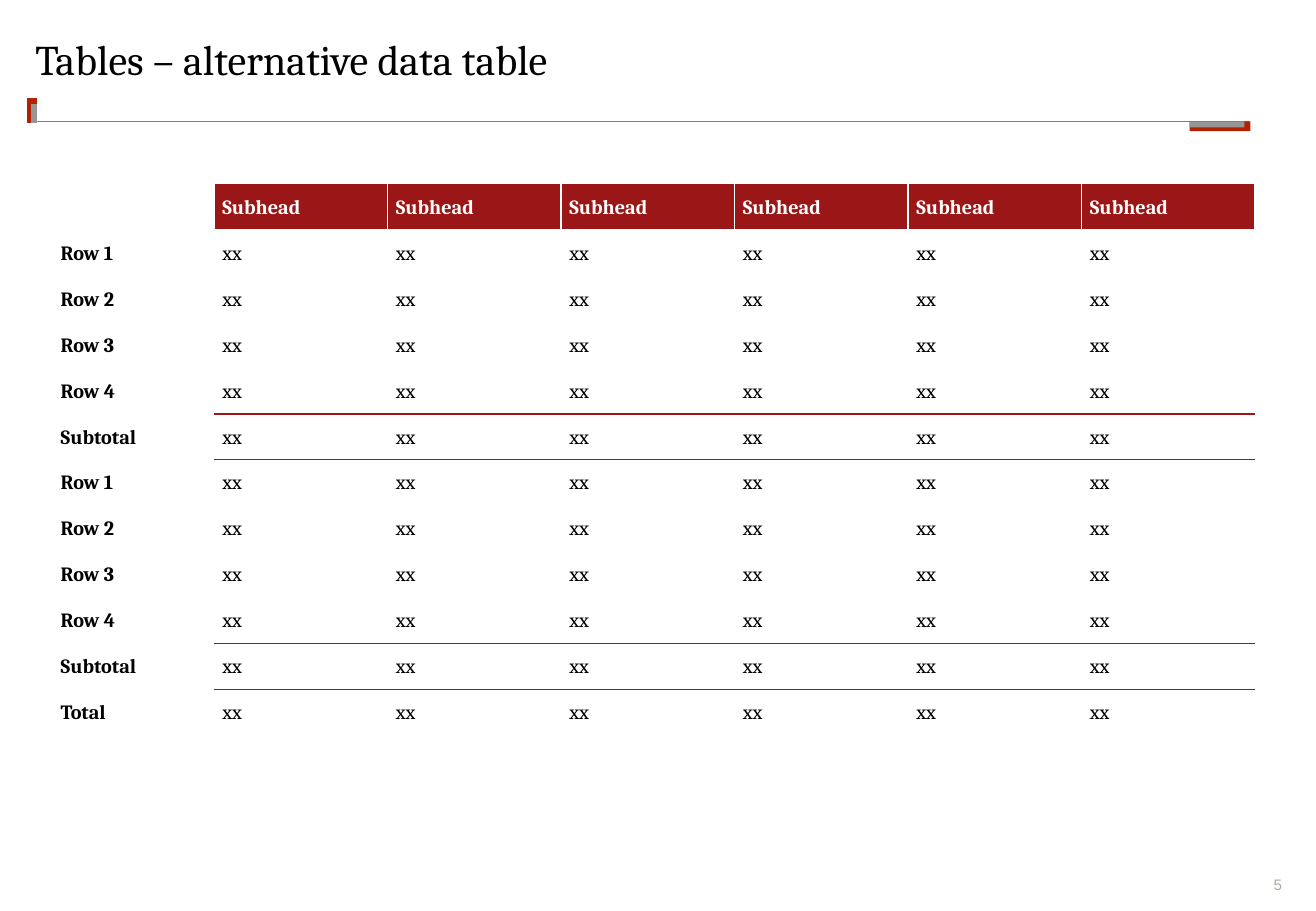
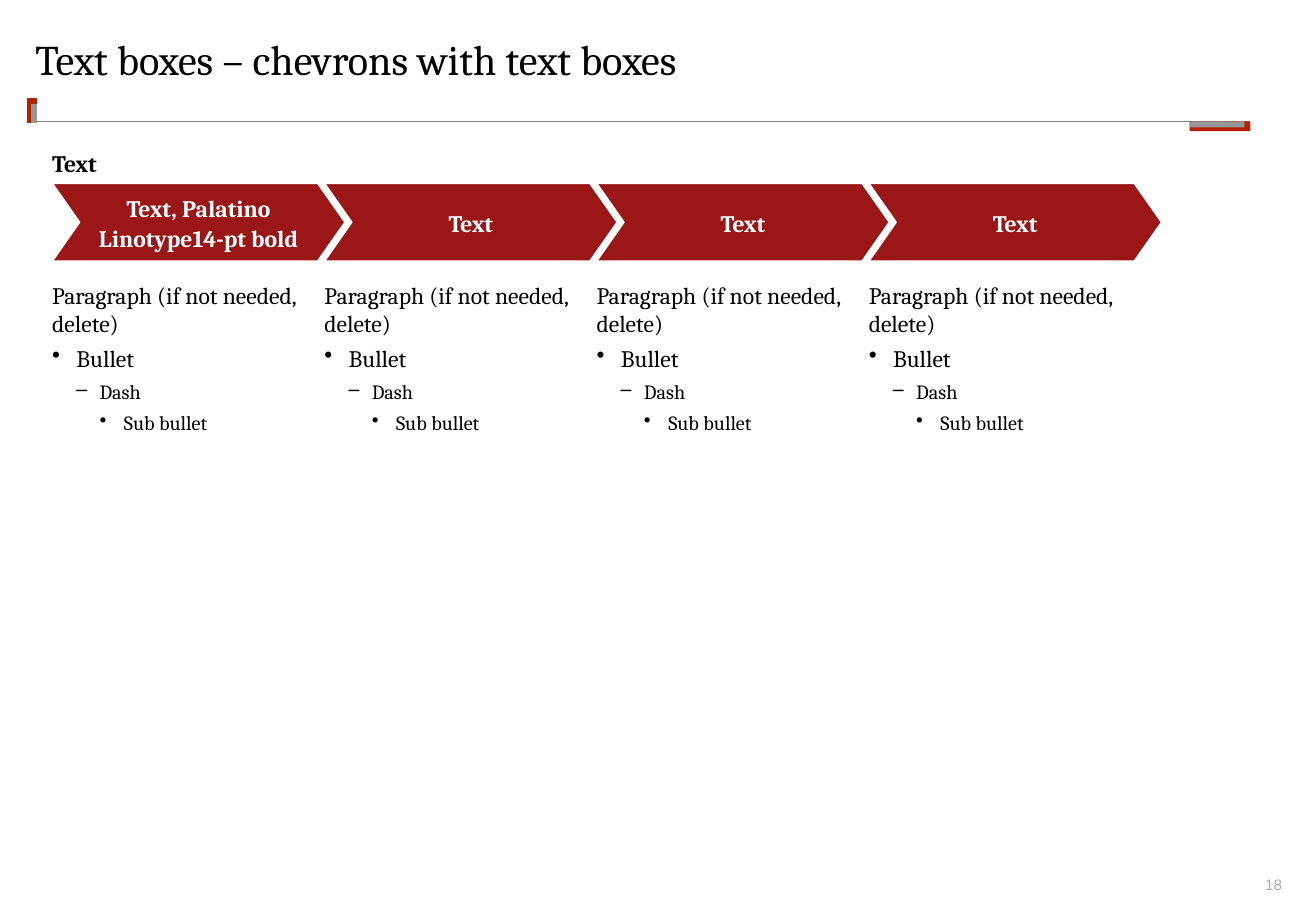
from lxml.etree import SubElement
from pptx import Presentation
from pptx.dml.color import RGBColor
from pptx.enum.shapes import MSO_CONNECTOR, MSO_SHAPE
from pptx.enum.text import MSO_ANCHOR, MSO_AUTO_SIZE, PP_ALIGN
from pptx.oxml import parse_xml
from pptx.oxml.ns import nsdecls, qn
from pptx.util import Inches, Pt

COLORS = {
    "crimson": "9B1717", "red": "B42100", "rule": "808080", "gray": "969696",
    "page": "ADABA1", "black": "000000", "white": "FFFFFF",
}
BODY_FONT = "Cambria"
TITLE_ONLY = 5
LEFT = 0.43
TOP = 1.51

GROUP_ROWS = ["Row 1", "Row 2", "Row 3", "Row 4", "Subtotal"]
ROW_LABELS = GROUP_ROWS * 2 + ["Total"]
DATA_COLUMNS = 6
LABEL_WIDTH = 1.33

STEPS = ["Text, Palatino Linotype14-pt bold", "Text", "Text", "Text"]
OUTLINE = [
    ("Paragraph (if not needed, delete)", 14, None, 0),
    ("Bullet", 14, "•", 0.2),
    ("Dash", 12, "‒", 0.39),
    ("Sub bullet", 12, "•", 0.59),
]


def rgb(name):
    """Return the named palette colour."""
    return RGBColor.from_string(COLORS[name])


def add_run(paragraph, text, size, color="black", bold=False, font=BODY_FONT):
    """Append a formatted run to a paragraph."""
    run = paragraph.add_run()
    run.text = text
    run.font.name = font
    run.font.size = Pt(size)
    run.font.bold = bold
    run.font.color.rgb = rgb(color)


def set_frame(frame, anchor=MSO_ANCHOR.TOP, inset=0, wrap=True):
    """Set the insets, anchor and wrapping of a text frame."""
    frame.margin_left = frame.margin_right = Inches(inset)
    frame.margin_top = frame.margin_bottom = Inches(inset)
    frame.vertical_anchor = anchor
    frame.auto_size = MSO_AUTO_SIZE.NONE
    frame.word_wrap = wrap


def add_text_box(slide, box, **frame_options):
    """Add a text box and return its text frame."""
    frame = slide.shapes.add_textbox(*map(Inches, box)).text_frame
    set_frame(frame, **frame_options)
    return frame


def add_filled_shape(slide, kind, box, color):
    """Add a preset shape with a plain fill and no outline."""
    shape = slide.shapes.add_shape(kind, *map(Inches, box))
    shape.shadow.inherit = False
    shape.fill.solid()
    shape.fill.fore_color.rgb = rgb(color)
    shape.line.fill.background()
    return shape


def add_rule(slide, ends, color, width):
    """Draw a straight line without a shadow."""
    rule = slide.shapes.add_connector(MSO_CONNECTOR.STRAIGHT, *map(Inches, ends))
    rule.line.color.rgb = rgb(color)
    rule.line.width = Pt(width)
    SubElement(rule._element.spPr, qn("a:effectLst"))


def add_title_band(slide):
    """Draw the rule under the title with its two corner marks."""
    add_rule(slide, (0.3, 1, 10.28, 1), "rule", 1)
    add_rule(slide, (0.26, 1.01, 0.26, 0.81), "red", 6)
    add_rule(slide, (0.28, 1.01, 0.28, 0.86), "gray", 3)
    for width, height, color in [(0.5, 0.08, "red"), (0.45, 0.05, "gray")]:
        add_filled_shape(slide, MSO_SHAPE.RECTANGLE, (9.79, 1, width, height), color)


def add_base_slide(deck, title_text, page):
    """Add a slide with title, title band and page number."""
    slide = deck.slides.add_slide(deck.slide_layouts[TITLE_ONLY])
    number = add_text_box(slide, (10.24, 7.21, 0.31, 0.15),
                          anchor=MSO_ANCHOR.BOTTOM, wrap=False).paragraphs[0]
    number.alignment = PP_ALIGN.RIGHT
    add_run(number, str(page), 9, "page", font="Arial")
    add_title_band(slide)
    title = slide.shapes.title
    title.left, title.top = Inches(0.29), Inches(0.32)
    title.width, title.height = Inches(10.25), Inches(0.67)
    set_frame(title.text_frame)
    heading = title.text_frame.paragraphs[0]
    heading.alignment = PP_ALIGN.LEFT
    heading.line_spacing = 0.9
    add_run(heading, title_text, 25)
    return slide


def set_borders(cell, left=None, right=None, top=None, bottom=None):
    """Set the four borders of a cell, hiding those without a colour."""
    sides = {"lnL": left, "lnR": right, "lnT": top, "lnB": bottom}
    properties = cell._tc.get_or_add_tcPr()
    for position, (tag, color) in enumerate(sides.items()):
        paint = (f'<a:solidFill><a:srgbClr val="{COLORS[color]}"/></a:solidFill>'
                 if color else "<a:noFill/>")
        properties.insert(position, parse_xml(
            f'<a:{tag} {nsdecls("a")} w="{Pt(1)}">{paint}</a:{tag}>'))


def fill_cell(cell, text, color="black", bold=False, fill=None):
    """Format one table cell and write its text."""
    cell.margin_left = cell.margin_right = Inches(0.07)
    cell.margin_top = cell.margin_bottom = Inches(0.04)
    cell.vertical_anchor = MSO_ANCHOR.MIDDLE
    if fill:
        cell.fill.solid()
        cell.fill.fore_color.rgb = rgb(fill)
    else:
        cell.fill.background()
    if text:
        paragraph = cell.text_frame.paragraphs[0]
        paragraph.line_spacing = 1.06
        add_run(paragraph, text, 12, color, bold)


def add_data_table(slide, left, top, width, height):
    """Build the data table, with ruled lines around each subtotal."""
    labels = [""] + ROW_LABELS
    table = slide.shapes.add_table(len(labels), DATA_COLUMNS + 1,
                                   *map(Inches, (left, top, width, height))).table
    table.first_row = table.horz_banding = False
    for index, column in enumerate(table.columns):
        data_width = (width - LABEL_WIDTH) / DATA_COLUMNS
        column.width = Inches(data_width if index else LABEL_WIDTH)
    for row_index, label in enumerate(labels):
        table.rows[row_index].height = Inches(height / len(labels))
        after_subtotal = row_index and labels[row_index - 1] == "Subtotal"
        before_subtotal = labels[row_index + 1:row_index + 2] == ["Subtotal"]
        subtotal = label == "Subtotal"
        for column_index in range(DATA_COLUMNS + 1):
            cell = table.cell(row_index, column_index)
            if row_index == 0:
                fill_cell(cell, "Subhead" if column_index else "", "white", True,
                          "crimson" if column_index else None)
                set_borders(cell, "white", "white", "white", "white")
            elif column_index == 0:
                fill_cell(cell, label, bold=True)
                set_borders(cell, top="white" if row_index == 1 else None)
            else:
                fill_cell(cell, "xx")
                above = "crimson" if subtotal or after_subtotal else None
                below = "crimson" if subtotal or before_subtotal else None
                set_borders(cell, top="white" if row_index == 1 else above, bottom=below)


def add_outline(slide, box):
    """Write the four-level sample text."""
    frame = add_text_box(slide, box)
    for level, (text, size, bullet, indent) in enumerate(OUTLINE):
        paragraph = frame.add_paragraph() if level else frame.paragraphs[0]
        paragraph.level = level
        paragraph.space_before = Pt(4)
        if bullet:
            properties = paragraph._p.get_or_add_pPr()
            properties.set("marL", str(Inches(indent)))
            properties.set("indent", str(Inches(-0.2)))
            SubElement(properties, qn("a:buChar")).set("char", bullet)
        add_run(paragraph, text, size)


def add_step(slide, left, top, text):
    """Add a chevron and the sample text below it."""
    chevron = add_filled_shape(slide, MSO_SHAPE.CHEVRON, (left, top, 2.41, 0.64), "crimson")
    chevron.adjustments[0] = 0.35
    chevron.line.color.rgb = rgb("white")
    chevron.line.width = Pt(1)
    set_frame(chevron.text_frame, MSO_ANCHOR.MIDDLE, 0.04)
    caption = chevron.text_frame.paragraphs[0]
    caption.alignment = PP_ALIGN.CENTER
    caption.line_spacing = 1.06
    add_run(caption, text, 14, "white", True)
    add_outline(slide, (left, top + 0.8, 2.14, 1.28))


def add_process(slide, left, top, pitch):
    """Place the heading and the row of steps."""
    heading = add_text_box(slide, (left, top - 0.28, 0.39, 0.24), wrap=False)
    add_run(heading.paragraphs[0], "Text", 14, bold=True)
    for index, text in enumerate(STEPS):
        add_step(slide, left + index * pitch, top, text)


def main():
    """Build and save the two slides."""
    deck = Presentation()
    deck.slide_width, deck.slide_height = Inches(10.83), Inches(7.5)
    table_slide = add_base_slide(deck, "Tables – alternative data table", 5)
    add_data_table(table_slide, LEFT, TOP, 9.9, 4.54)
    process_slide = add_base_slide(deck, "Text boxes – chevrons with text boxes", 18)
    add_process(process_slide, LEFT, TOP, 2.24)
    deck.save("out.pptx")


if __name__ == "__main__":
    main()
